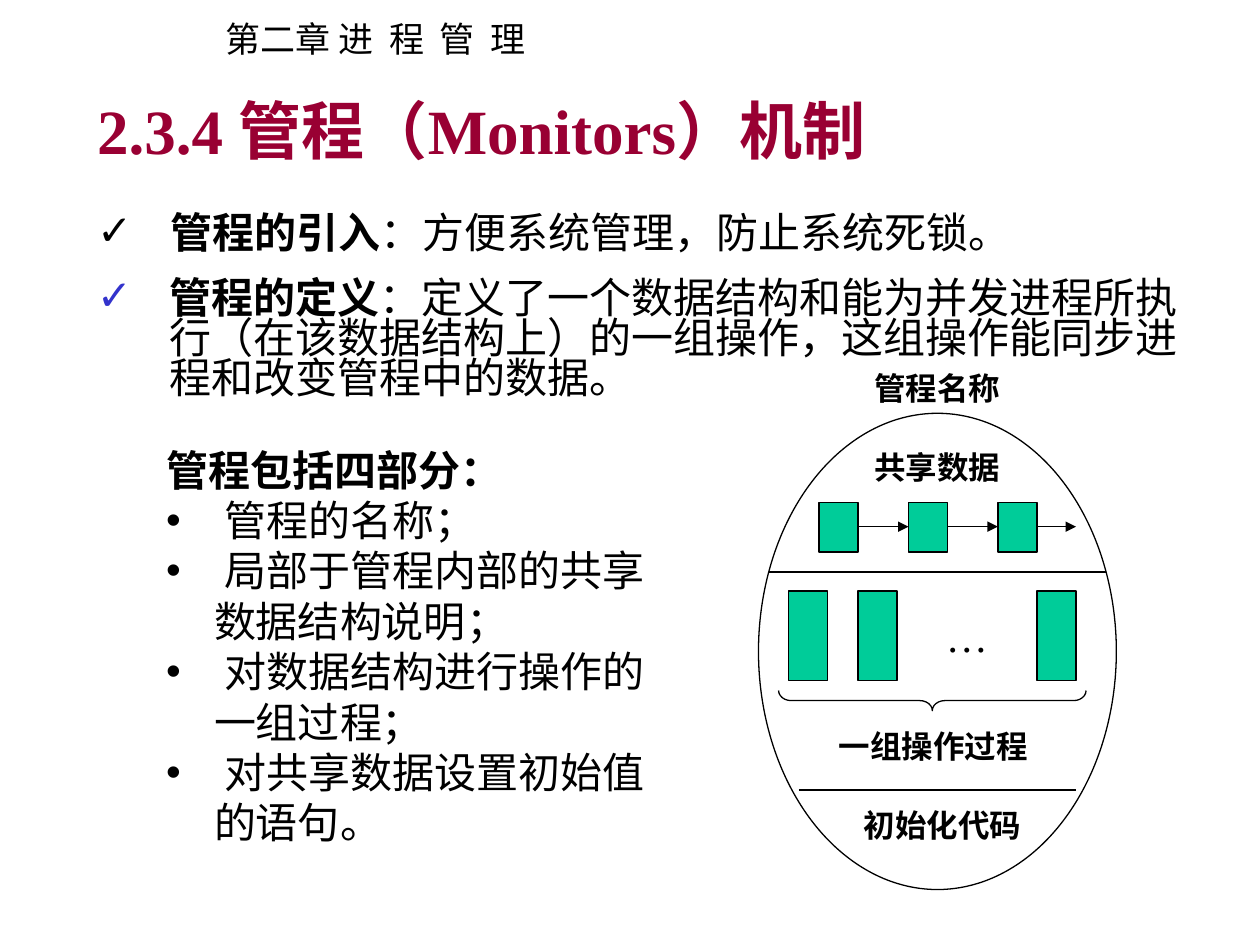
from typing import NamedTuple

from lxml.etree import SubElement
from pptx import Presentation
from pptx.dml.color import RGBColor
from pptx.enum.shapes import MSO_CONNECTOR, MSO_SHAPE
from pptx.enum.text import MSO_ANCHOR, MSO_AUTO_SIZE, PP_ALIGN
from pptx.oxml.ns import qn
from pptx.util import Inches, Pt

COLOURS = {"black": "000000", "heading": "990033", "block": "00CC99", "check": "3333CC"}
LATIN = "Times New Roman"
CHINESE = "Noto Sans CJK SC"


class Caption(NamedTuple):
    text: str
    left: float
    top: float
    width: float


class Rule(NamedTuple):
    start: float
    end: float
    height: float
    arrow: bool = False


class Block(NamedTuple):
    left: float
    top: float
    height: float


def colour(name: str) -> RGBColor:
    return RGBColor.from_string(COLOURS[name])


def place(shape, left: float, top: float, width: float, height: float) -> None:
    shape.left, shape.top = Inches(left), Inches(top)
    shape.width, shape.height = Inches(width), Inches(height)


def prepare(shape, anchor=MSO_ANCHOR.TOP, wrap: bool = True):
    frame = shape.text_frame
    frame.auto_size = MSO_AUTO_SIZE.NONE
    frame.word_wrap = wrap
    frame.vertical_anchor = anchor
    return frame


def add_box(left: float, top: float, width: float, height: float, **layout):
    box = slide.shapes.add_textbox(Inches(left), Inches(top), Inches(width), Inches(height))
    return prepare(box, **layout)


def write(para, text: str, size: float = 24, bold: bool = False, ink: str = "black",
          font: str = LATIN, align=PP_ALIGN.LEFT, before: float = 0, spacing: float = 1.0) -> None:
    para.alignment = align
    para.space_before = Pt(before)
    para.line_spacing = spacing
    span = para.add_run()
    span.text = text
    span.font.size = Pt(size)
    span.font.bold = bold
    span.font.name = font
    span.font.color.rgb = colour(ink)
    SubElement(span.font._element, qn("a:ea"), typeface=CHINESE)


def indent(para, margin: float, bullet: str = "", ink: str = "black") -> None:
    properties = para._p.get_or_add_pPr()
    properties.set("marL", str(Inches(margin)))
    properties.set("indent", str(-Inches(margin) if bullet else 0))
    if bullet:
        bullet_colour = SubElement(properties, qn("a:buClr"))
        SubElement(bullet_colour, qn("a:srgbClr"), val=COLOURS[ink])
        SubElement(properties, qn("a:buFont"), typeface="Arial")
        SubElement(properties, qn("a:buChar"), char=bullet)


def write_topic(frame, topic: str, detail: str, spacing: float, ink: str) -> None:
    para = frame.paragraphs[0]
    write(para, topic, bold=True, before=6, spacing=spacing)
    write(para, detail, before=6, spacing=spacing)
    indent(para, 0.58, "✓", ink)


def add_outline(kind, left: float, top: float, width: float, height: float, fill: str = ""):
    shape = slide.shapes.add_shape(kind, Inches(left), Inches(top), Inches(width), Inches(height))
    shape.shadow.inherit = False
    if fill:
        shape.fill.solid()
        shape.fill.fore_color.rgb = colour(fill)
    else:
        shape.fill.background()
    shape.line.color.rgb = colour("black")
    shape.line.width = Pt(0.74)
    return shape


def add_rule(rule: Rule) -> None:
    height = Inches(rule.height)
    line = slide.shapes.add_connector(
        MSO_CONNECTOR.STRAIGHT, Inches(rule.start), height, Inches(rule.end), height)
    line.line.color.rgb = colour("black")
    line.line.width = Pt(0.74)
    if rule.arrow:
        SubElement(line.line._get_or_add_ln(), qn("a:tailEnd"), type="triangle")
    SubElement(line._element.spPr, qn("a:effectLst"))


deck = Presentation()
deck.slide_width, deck.slide_height = Inches(10), Inches(7.5)
slide = deck.slides.add_slide(deck.slide_layouts[1])

chapter = add_box(1.69, 0.09, 2.64, 0.44, wrap=False)
write(chapter.paragraphs[0], "第二章 进  程  管  理", size=20, font=CHINESE)

title, body = slide.shapes.title, slide.placeholders[1]
place(title, 0.67, 0.68, 8.35, 0.7)
write(prepare(title).paragraphs[0], "2.3.4 管程（Monitors）机制", size=36, bold=True,
      ink="heading", before=22.5)

place(body, 0.67, 1.7, 8.82, 0.39)
write_topic(prepare(body), "管程的引入", "：方便系统管理，防止系统死锁。", 0.7, "black")
write_topic(add_box(0.67, 2.18, 8.98, 0.63), "管程的定义",
            "：定义了一个数据结构和能为并发进程所执行（在该数据结构上）的一组操作，"
            "这组操作能同步进程和改变管程中的数据。", 0.8, "check")

parts = add_box(1.22, 3.59, 4.02, 3.07, anchor=MSO_ANCHOR.MIDDLE, wrap=False)
write(parts.paragraphs[0], "管程包括四部分：", bold=True)
for first, *rest in (
    ["管程的名称；"],
    ["局部于管程内部的共享", "数据结构说明；"],
    ["对数据结构进行操作的", "一组过程；"],
    ["对共享数据设置初始值", "的语句。"],
):
    item = parts.add_paragraph()
    write(item, first)
    indent(item, 0.46, "•")
    for continuation in rest:
        item = parts.add_paragraph()
        write(item, continuation)
        indent(item, 0.38)

add_outline(MSO_SHAPE.OVAL, 6.02, 3.28, 2.84, 3.78)

data_lefts = [6.5 + 0.71 * index for index in range(3)]
data_blocks = [Block(left, 3.99, 0.39) for left in data_lefts]
procedure_blocks = [Block(left, 4.69, 0.71) for left in (6.26, 6.81, 8.23)]
for block in data_blocks + procedure_blocks:
    add_outline(MSO_SHAPE.RECTANGLE, block.left, block.top, 0.31, block.height, fill="block")

arrows = [Rule(left + 0.31, end, 4.18, True)
          for left, end in zip(data_lefts, data_lefts[1:] + [8.54])]
for rule in arrows + [Rule(6.1, 8.78, 4.54), Rule(6.34, 8.54, 6.27)]:
    add_rule(rule)

brace = add_outline(MSO_SHAPE.LEFT_BRACE, 7.32, 4.34, 0.16, 2.44)
brace.rotation = 270
brace.adjustments[0] = 0.62

dots = add_box(7.36, 4.69, 0.63, 0.71, anchor=MSO_ANCHOR.MIDDLE, wrap=False)
write(dots.paragraphs[0], "…", align=PP_ALIGN.CENTER)

for caption in (
    Caption("管程名称", 6.81, 2.88, 1.26),
    Caption("共享数据", 6.81, 3.51, 1.26),
    Caption("一组操作过程", 6.5, 5.72, 1.81),
    Caption("初始化代码", 6.73, 6.35, 1.5),
):
    label = add_box(caption.left, caption.top, caption.width, 0.4)
    write(label.paragraphs[0], caption.text, size=18, bold=True,
          align=PP_ALIGN.CENTER, before=11.2)

deck.save("out.pptx")
